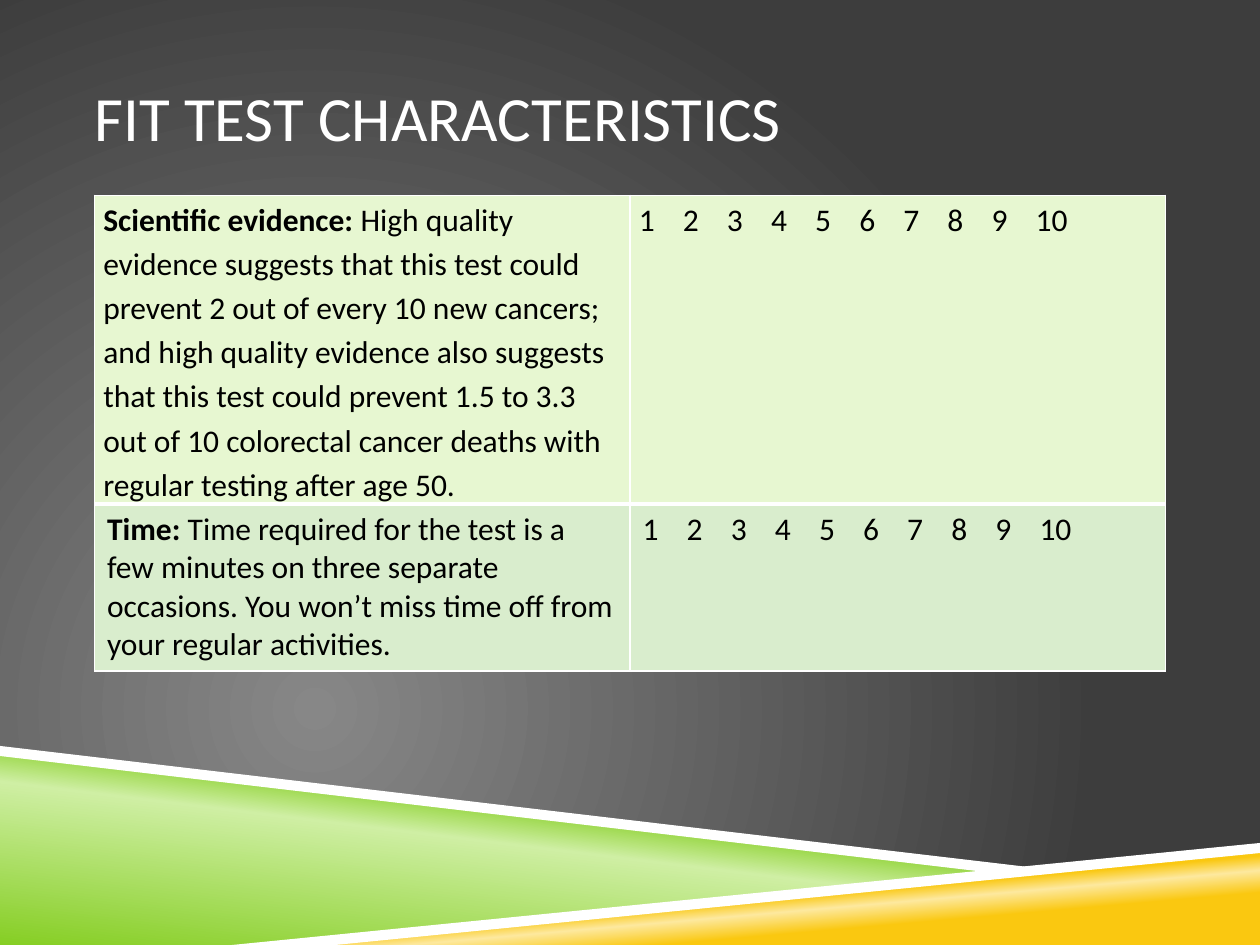
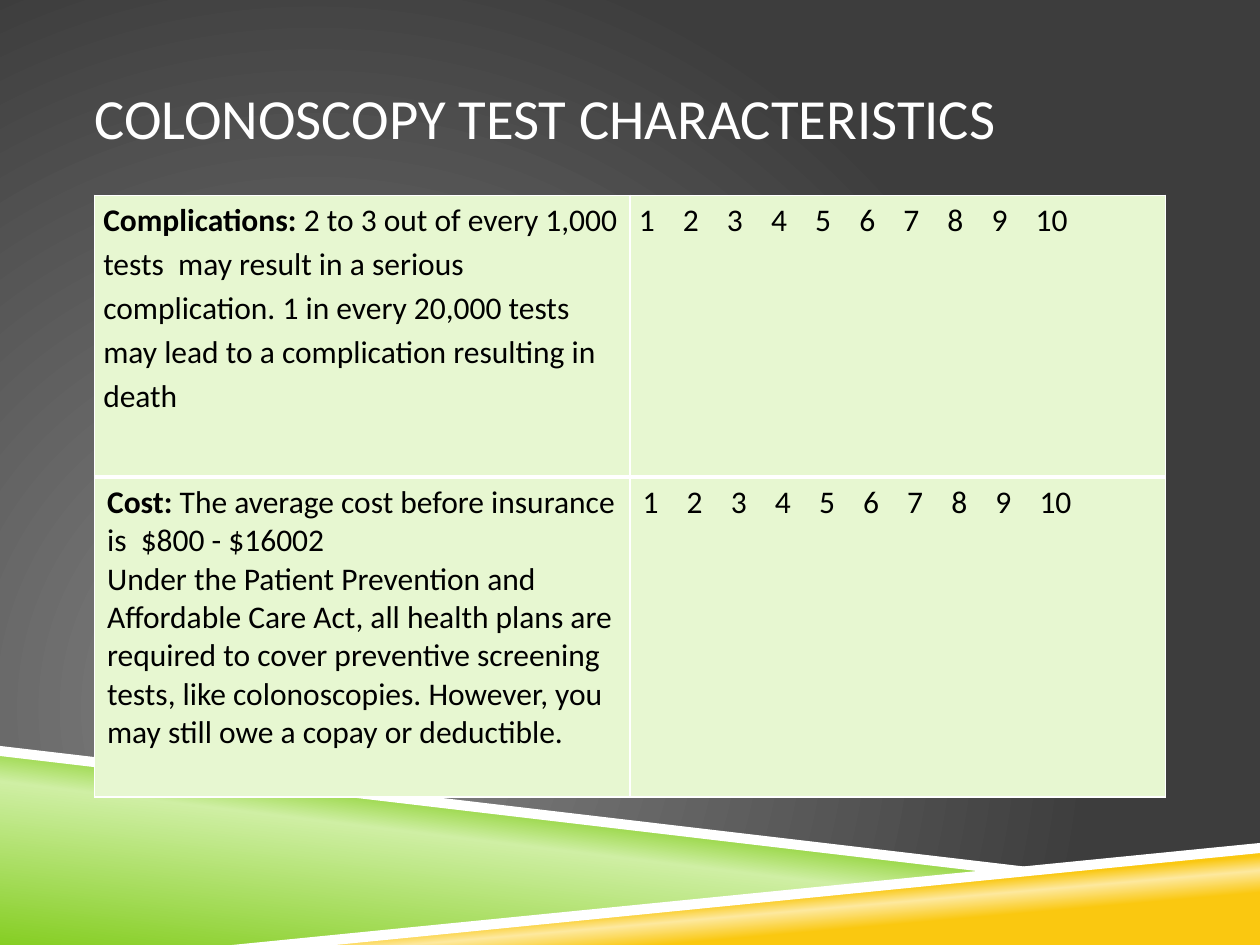
from dataclasses import dataclass

import pptx
import pptx.dml.color
import pptx.enum.text
import pptx.oxml
import pptx.oxml.ns
import pptx.util


@dataclass(frozen=True)
class Theme:
    font: str = "Calibri"
    white: str = "FFFFFF"
    black: str = "000000"
    lime: str = "E7F7D1"
    mint: str = "D9EDCD"
    title: float = 36
    tight: float = 32.4
    body: float = 18
    thin: float = 1
    thick: float = 3


@dataclass(frozen=True)
class Blend:
    stops: tuple[tuple[int, str], ...]
    angle: int | None = None


@dataclass(frozen=True)
class Band:
    points: tuple[tuple[float, float], ...]
    fill: str | Blend


@dataclass(frozen=True)
class Row:
    paras: tuple
    height: float
    fill: str


@dataclass(frozen=True)
class Page:
    title: str
    size: float
    rows: tuple[Row, ...]


THEME = Theme()
COLS, ROWS = 40, 30
WIDE, HIGH = pptx.util.Inches(10), pptx.util.Inches(7.5)
LEFT, SPAN = 3, 34
SCALE = "\t".join(str(n) for n in range(1, 11))
TAB = pptx.util.Inches(0.35)

DUSK = Blend(((0, "878787"), (100, "3D3D3D")))
GOLD = Blend(((28, "FAC810"), (40, "FDE99F"), (48, "FAC810")), 265)
GREEN = Blend(((0, "86CE24"), (52, "CFEFA4"), (66, "86CE24")), 277)

BANDS = (
    Band(((7.92, 30), (40, 26.88), (40, 30)), GOLD),
    Band(((0, 23.88), (31.68, 27.68), (8, 30), (0, 30)), GREEN),
    Band(((0, 23.68), (0, 24), (31.6, 27.72), (33.28, 27.6)), THEME.white),
    Band(((40, 26.76), (7.36, 30), (10.64, 30), (40, 27.08)), THEME.white),
)

PAGES = (
    Page("FIT TEST CHARACTERISTICS", THEME.title, (
        Row(((("Scientific evidence: ", True),
              ("High quality evidence suggests that this test could prevent 2 out of "
               "every 10 new cancers; and high quality evidence also suggests that this "
               "test could prevent 1.5 to 3.3 out of 10 colorectal cancer deaths with "
               "regular testing after age 50.", False)),), 9.8, THEME.lime),
        Row(((("Time:", True),
              (" Time required for the test is a few minutes on three separate "
               "occasions. You won’t miss time off from your regular activities.",
               False)),), 5.3, THEME.mint),
    )),
    Page("COLONOSCOPY TEST CHARACTERISTICS", THEME.tight, (
        Row(((("Complications: ", True),
              ("2 to 3 out of every 1,000 tests  may result in a serious complication. "
               "1 in every 20,000 tests may lead to a complication resulting in death",
               False)),), 8.94, THEME.lime),
        Row(((("Cost: ", True),
              ("The average cost before insurance is  $800 - $16002", False)),
             (("Under the Patient Prevention and Affordable Care Act, all health plans "
               "are required to cover preventive screening tests, like colonoscopies. "
               "However, you may still owe a copay or deductible.", False),)),
            10.16, THEME.lime),
    )),
)


def across(cols: float) -> int:
    return round(cols * WIDE / COLS)


def down(rows: float) -> int:
    return round(rows * HIGH / ROWS)


def tint(code: str) -> pptx.dml.color.RGBColor:
    return pptx.dml.color.RGBColor.from_string(code)


def make(tag: str, inner: str = "", **attrs):
    pairs = "".join(f' {key}="{value}"' for key, value in attrs.items())
    return pptx.oxml.parse_xml(
        f'<a:{tag} {pptx.oxml.ns.nsdecls("a")}{pairs}>{inner}</a:{tag}>')


def paint(fill, root, look: str | Blend) -> None:
    if isinstance(look, str):
        fill.solid()
        fill.fore_color.rgb = tint(look)
        return
    fill.gradient()
    node = next(root.iter(pptx.oxml.ns.qn("a:gradFill")))
    for child in list(node):
        node.remove(child)
    stops = "".join(f'<a:gs pos="{pos * 1000}"><a:srgbClr val="{code}"/></a:gs>'
                    for pos, code in look.stops)
    node.append(make("gsLst", stops))
    if look.angle is None:
        focus = '<a:fillToRect l="50000" t="100000" r="100000" b="50000"/>'
        node.append(make("path", focus, path="circle"))
    else:
        node.append(make("lin", ang=look.angle * 60000, scaled=0))


def write(frame, paras, *, size: float, ink: str, space: float = 1,
          tabs: int = 0) -> None:
    for index, runs in enumerate(paras):
        para = frame.add_paragraph() if index else frame.paragraphs[0]
        para.line_spacing = space
        for text, bold in runs:
            run = para.add_run()
            run.text = text
            run.font.name = THEME.font
            run.font.size = pptx.util.Pt(size)
            run.font.bold = bold
            run.font.color.rgb = tint(ink)
        if tabs:
            stops = "".join(f'<a:tab pos="{n * TAB}" algn="l"/>'
                            for n in range(1, tabs + 1))
            para._p.get_or_add_pPr().append(make("tabLst", stops))


def draw_band(slide, band: Band) -> None:
    first, *rest = [(across(x), down(y)) for x, y in band.points]
    pen = slide.shapes.build_freeform(*first, scale=1.0)
    pen.add_line_segments(rest, close=True)
    shape = pen.convert_to_shape()
    shape.shadow.inherit = False
    shape.line.fill.background()
    paint(shape.fill, shape._element, band.fill)


def draw_title(slide, page: Page) -> None:
    box = slide.shapes.add_textbox(across(LEFT), down(1.2), across(SPAN), down(5))
    frame = box.text_frame
    frame.word_wrap = True
    frame.margin_left = frame.margin_right = 0
    frame.vertical_anchor = pptx.enum.text.MSO_ANCHOR.MIDDLE
    write(frame, (((page.title, False),),), size=page.size, ink=THEME.white)


def edge(cell, top: float, base: float) -> None:
    widths = {"lnL": THEME.thin, "lnR": THEME.thin, "lnT": top, "lnB": base}
    inner = f'<a:solidFill><a:srgbClr val="{THEME.white}"/></a:solidFill>'
    props = cell._tc.get_or_add_tcPr()
    for index, (tag, width) in enumerate(widths.items()):
        props.insert(index, make(tag, inner, w=pptx.util.Pt(width)))


def draw_table(slide, rows: tuple[Row, ...]) -> None:
    total = sum(row.height for row in rows)
    table = slide.shapes.add_table(len(rows), 2, across(LEFT), down(6.2),
                                   across(SPAN), down(total)).table
    table.first_row = table.horz_banding = False
    for index, row in enumerate(rows):
        head = index == 0
        table.rows[index].height = down(row.height)
        for col, paras in enumerate((row.paras, (((SCALE, False),),))):
            cell = table.cell(index, col)
            paint(cell.fill, cell._tc, row.fill)
            edge(cell, THEME.thin if head else THEME.thick,
                 THEME.thick if head else THEME.thin)
            if head:
                cell.margin_left = cell.margin_right = pptx.util.Inches(0.07)
                cell.margin_top = cell.margin_bottom = 0
            write(cell.text_frame, paras, size=THEME.body, ink=THEME.black,
                  space=1.15 if head else 1, tabs=9 if col else 0)


def main() -> None:
    deck = pptx.Presentation()
    deck.slide_width, deck.slide_height = WIDE, HIGH
    for page in PAGES:
        slide = deck.slides.add_slide(deck.slide_layouts[6])
        paint(slide.background.fill, slide._element, DUSK)
        for band in BANDS:
            draw_band(slide, band)
        draw_title(slide, page)
        draw_table(slide, page.rows)
    deck.save("out.pptx")


if __name__ == "__main__":
    main()
